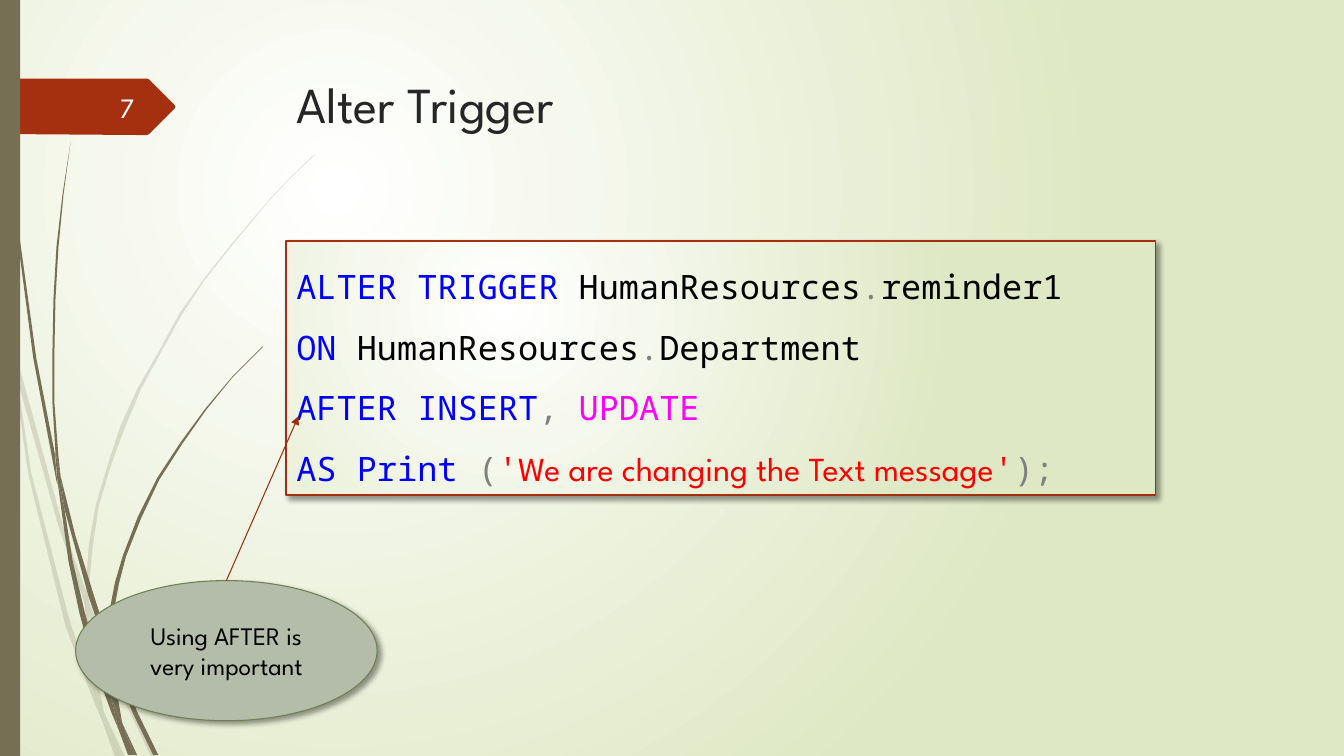
"""Build the "Alter Trigger" slide: a T-SQL sample with a callout on a green wisp background."""
import pptx
import pptx.util
import pptx.dml.color
import pptx.enum.shapes
import pptx.enum.text
import pptx.oxml
import pptx.oxml.ns
from lxml import etree

Inches, Pt, qn = pptx.util.Inches, pptx.util.Pt, pptx.oxml.ns.qn
RGB = pptx.dml.color.RGBColor.from_string
SHAPE = pptx.enum.shapes.MSO_SHAPE
ALIGN = pptx.enum.text.PP_ALIGN
ANCHOR = pptx.enum.text.MSO_ANCHOR
BODY, MONO = "League Spartan", "Noto Sans Mono"
COLORS = {
    "light": "FFFFFF", "green": "DFE8C4", "brown": "766F54", "rust": "A53010",
    "arrow": "9E2E0F", "callout": "B4BCAA", "callout edge": "6D804F",
    "title": "262626", "number": "FEFFFF", "keyword": "0000FF", "name": "000000",
    "mark": "808080", "event": "FF00FF", "string": "FF0000",
}
SHADOW = (
    f'<a:effectLst {pptx.oxml.ns.nsdecls("a")}>'
    '<a:outerShdw blurRad="50800" dist="38100" dir="2700000" algn="tl" rotWithShape="0">'
    '<a:srgbClr val="000000"><a:alpha val="40000"/></a:srgbClr></a:outerShdw></a:effectLst>'
)


def style_run(run, size, font, color):
    run.font.size, run.font.name = Pt(size), font
    run.font.color.rgb = RGB(COLORS[color])


def fill_radial(fill, owner):
    fill.gradient()
    for stop, color, position in zip(fill.gradient_stops, ("light", "green"), (0, 1)):
        stop.color.rgb = RGB(COLORS[color])
        stop.position = position
    gradient = owner.find(".//" + qn("a:gradFill"))
    gradient.remove(gradient.find(qn("a:lin")))
    circle = etree.SubElement(gradient, qn("a:path"), path="circle")
    etree.SubElement(circle, qn("a:fillToRect"), l="50000", t="50000", r="100000", b="100000")


deck = pptx.Presentation()
deck.slide_width, deck.slide_height = Inches(13.33), Inches(7.5)
slide = deck.slides.add_slide(deck.slide_layouts[5])
shapes = slide.shapes
fill_radial(slide.background.fill, slide.element)

pale_wisps = [
    "11,350 9,322 0,282 0,299 10,344",
    "58,522 84,599 85,586 62,520 14,345 17,376",
    "92,607 88,596 88,610 123,694 150,751 155,751 127,692",
    "119,751 124,751 105,711",
    "93,683 70,619 31,469 17,376 11,350 28,470 65,621 92,693 101,714 99,707",
    "84,599 87,646 93,683 96,692 105,711 103,706 91,646 88,610 88,608",
    "88,584 92,542 98,502 110,462 124,424 140,386 160,349 180,313 203,278 229,245 268,198 290,175 "
    "312,154 312,153 289,175 268,197 228,244 202,277 178,311 158,348 136,386 119,424 107,461 95,501 "
    "88,542 85,584 85,586 88,596",
    "101,714 114,751 119,751",
    "88,608 88,610 88,596 85,586 84,599",
    "96,692 93,683 99,707 101,714 119,751 105,711",
]
dark_wisps = [
    "7,110 17,233 33,355 56,477 57,481 55,457 55,453 36,355 19,232 8,109 5,48 4,0 3,0 4,48",
    "88,592 106,645 106,631 93,590 75,532 60,472 64,505",
    "113,649 110,641 111,656 132,708 152,749 157,749 136,706",
    "110,691 98,657 84,607 72,556 64,505 57,477 68,557 79,609 93,659 111,708 117,722 116,717",
    "60,472 58,453 54,400 54,349 55,297 58,245 63,193 70,141 62,193 56,245 53,297 52,349 52,400 55,449",
    "133,749 136,749 122,719",
    "57,477 64,505 60,472 55,449 55,453",
    "111,633 113,606 118,579 125,552 140,514 158,476 181,440 205,406 231,374 261,344 "
    "260,344 231,373 204,405 179,439 156,474 137,512 122,551 114,578 109,604 106,631 110,641",
    "117,722 127,749 131,749",
    "106,645 110,691 116,706 122,719 121,716 111,656 109,651",
    "106,645 109,651 111,656 110,641 106,631",
    "116,706 110,691 116,717 117,722 130,749 133,749 122,719",
]
page_tab = ["173,108 148,133 146,134 136,134 0,133 0,78 136,78 146,78 148,79 173,104 174,106"]
for outlines, color, opacity in (
    (pale_wisps, "brown", 20), (dark_wisps, "brown", 100), (page_tab, "rust", 100),
):
    for outline in outlines:
        points = [tuple(map(int, pair.split(","))) for pair in outline.split()]
        builder = shapes.build_freeform(*points[0], scale=Inches(0.01))
        builder.add_line_segments(points[1:], close=True)
        ornament = builder.convert_to_shape()
        ornament.shadow.inherit = False
        ornament.fill.solid()
        ornament.fill.fore_color.rgb = RGB(COLORS[color])
        ornament.line.fill.background()
        if opacity < 100:
            tint = ornament.element.spPr.find(qn("a:solidFill"))[0]
            etree.SubElement(tint, qn("a:alpha"), val=str(opacity * 1000))

side_bar = shapes.add_shape(SHAPE.RECTANGLE, 0, 0, Inches(0.2), Inches(7.5))
side_bar.shadow.inherit = False
side_bar.fill.solid()
side_bar.fill.fore_color.rgb = RGB(COLORS["brown"])
side_bar.line.fill.background()

heading = shapes.title
heading.left, heading.top = Inches(2.84), Inches(0.68)
heading.width, heading.height = Inches(9.75), Inches(1.4)
heading.text_frame.text = "Alter Trigger"
heading.text_frame.vertical_anchor = ANCHOR.TOP
heading.text_frame.paragraphs[0].alignment = ALIGN.LEFT
style_run(heading.text_frame.paragraphs[0].runs[0], 36, BODY, "title")

code_lines = [
    [("ALTER TRIGGER", "keyword"), (" HumanResources", "name"), (".", "mark"), ("reminder1", "name")],
    [("ON ", "keyword"), ("HumanResources", "name"), (".", "mark"), ("Department", "name")],
    [("AFTER INSERT", "keyword"), (", ", "mark"), ("UPDATE", "event")],
    [("AS Print ", "keyword"), ("(", "mark"), ("'", "string"),
     ("We are changing the Text message", "string"), ("'", "string"), (");", "mark")],
]
code_box = shapes.add_shape(SHAPE.RECTANGLE, Inches(2.84), Inches(2.39), Inches(8.62), Inches(2.52))
fill_radial(code_box.fill, code_box.element)
code_box.line.color.rgb = RGB(COLORS["rust"])
code_box.line.width = Pt(1.25)
code_frame = code_box.text_frame
code_frame.word_wrap = True
code_frame.auto_size = pptx.enum.text.MSO_AUTO_SIZE.SHAPE_TO_FIT_TEXT
code_frame.vertical_anchor = ANCHOR.TOP
for index, tokens in enumerate(code_lines):
    statement = code_frame.add_paragraph() if index else code_frame.paragraphs[0]
    statement.alignment = ALIGN.LEFT
    statement.line_spacing = 1.5
    for token, color in tokens:
        run = statement.add_run()
        run.text = token
        style_run(run, 24, BODY if token.startswith("We ") else MONO, color)

callout = shapes.add_shape(SHAPE.OVAL, Inches(0.75), Inches(5.76), Inches(2.99), Inches(1.39))
callout.fill.solid()
callout.fill.fore_color.rgb = RGB(COLORS["callout"])
callout.line.color.rgb = RGB(COLORS["callout edge"])
callout.line.width = Pt(0.75)
callout.text_frame.word_wrap = True
callout.text_frame.text = "Using AFTER is very important"
callout.text_frame.vertical_anchor = ANCHOR.MIDDLE
callout.text_frame.paragraphs[0].alignment = ALIGN.CENTER
style_run(callout.text_frame.paragraphs[0].runs[0], 18, BODY, "name")
for raised in (code_box, callout):
    raised.element.spPr.append(pptx.oxml.parse_xml(SHADOW))

pointer = shapes.add_connector(
    pptx.enum.shapes.MSO_CONNECTOR.STRAIGHT, Inches(2.24), Inches(5.76), Inches(2.96), Inches(4.13))
pointer.begin_connect(callout, 0)
pointer.line.color.rgb = RGB(COLORS["arrow"])
pointer.line.width = Pt(0.75)
pointer_format = pointer.element.spPr
etree.SubElement(pointer_format.find(qn("a:ln")), qn("a:tailEnd"), type="triangle")
etree.SubElement(pointer_format, qn("a:effectLst"))

page_number = shapes.add_textbox(Inches(0.58), Inches(0.86), Inches(0.85), Inches(0.4))
page_number.text_frame.word_wrap = True
page_number.text_frame.text = "7"
page_number.text_frame.vertical_anchor = ANCHOR.MIDDLE
page_number.text_frame.paragraphs[0].alignment = ALIGN.RIGHT
style_run(page_number.text_frame.paragraphs[0].runs[0], 20, BODY, "number")

deck.save("out.pptx")
